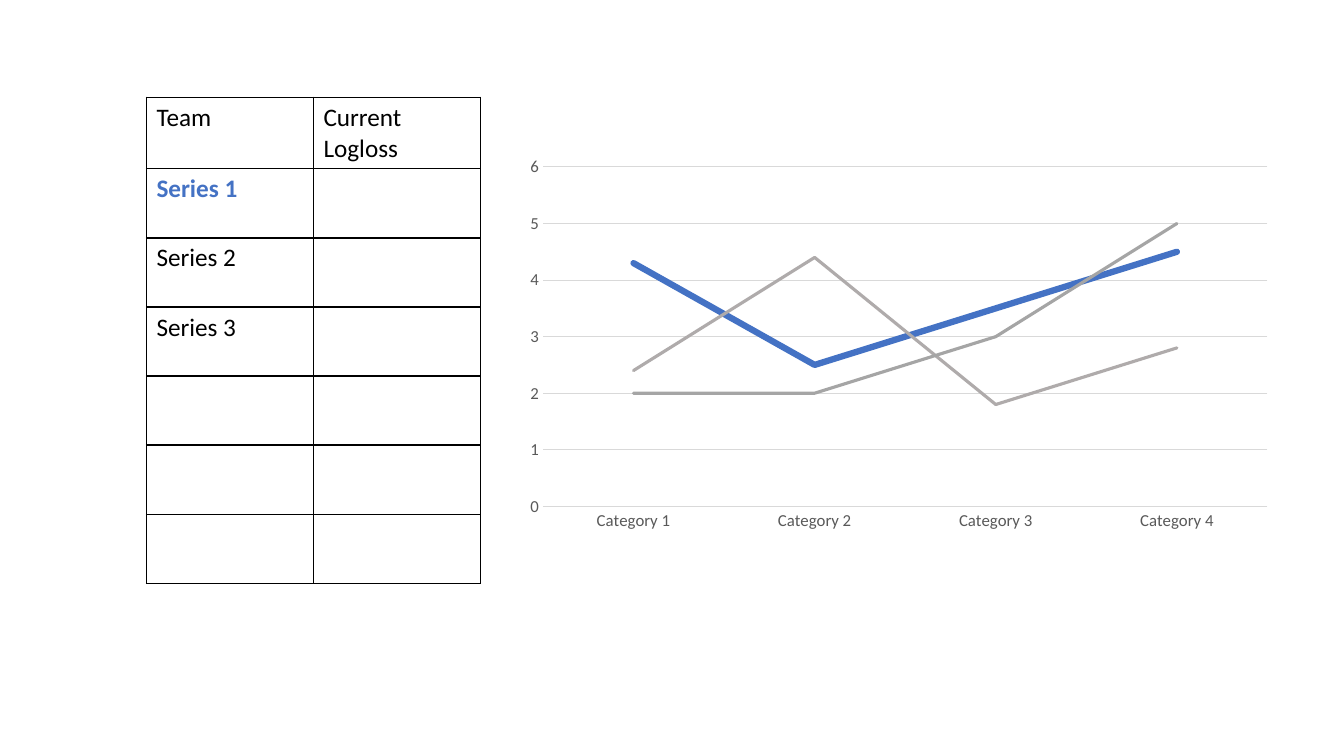
from lxml.etree import SubElement
from pptx import Presentation
from pptx.chart.data import CategoryChartData
from pptx.dml.color import RGBColor
from pptx.enum.chart import XL_CHART_TYPE as ChartType, XL_MARKER_STYLE as Marker, XL_TICK_MARK as Tick
from pptx.oxml.ns import qn
from pptx.util import Cm, Pt

# Content
TEAM_ROWS = [
    ("Team", "Current Logloss"),
    ("Series 1", ""),
    ("Series 2", ""),
    ("Series 3", ""),
    ("", ""),
    ("", ""),
    ("", ""),
]
CATEGORIES = ["Category 1", "Category 2", "Category 3", "Category 4"]
SERIES = [  # name, values, colour, line width
    ("Series 1", (4.3, 2.5, 3.5, 4.5), "4472C4", 4.5),
    ("Series 2", (2.4, 4.4, 1.8, 2.8), "AFABAB", 2.25),
    ("Series 3", (2, 2, 3, 5), "A5A5A5", 2.25),
]
HIGHLIGHT, HIGHLIGHT_COLOUR = "Series 1", "4472C4"
BLACK, AXIS_TEXT, GRID = "000000", "595959", "D9D9D9"

# Layout in centimetres
TABLE_LEFT, TABLE_TOP, COLUMN_WIDTH, ROW_HEIGHT = 3.69, 2.45, 4.21, 1.74
CHART_BOX = (12.98, 3.76, 19.35, 9.8)


def colour(hex_text):
    return RGBColor.from_string(hex_text)


def set_font(font, size, hex_text, bold=False):
    values = {"name": "Calibri", "size": Pt(size), "bold": bold}
    for attribute, value in values.items():
        setattr(font, attribute, value)
    font.color.rgb = colour(hex_text)


def set_line(line, hex_text, width):
    line.color.rgb = colour(hex_text)
    line.width = Pt(width)


def add_borders(cell, hex_text, width):
    properties = cell._tc.get_or_add_tcPr()
    for side in ("lnL", "lnR", "lnT", "lnB"):
        border = SubElement(properties, qn(f"a:{side}"), w=str(Pt(width)))
        fill = SubElement(border, qn("a:solidFill"))
        SubElement(fill, qn("a:srgbClr"), val=hex_text)


presentation = Presentation()
presentation.slide_width, presentation.slide_height = Cm(33.87), Cm(19.05)
slide = presentation.slides.add_slide(presentation.slide_layouts[6])

# Team table
row_count, column_count = len(TEAM_ROWS), len(TEAM_ROWS[0])
table = slide.shapes.add_table(
    row_count, column_count, Cm(TABLE_LEFT), Cm(TABLE_TOP),
    Cm(COLUMN_WIDTH * column_count), Cm(ROW_HEIGHT * row_count)).table
table.first_row = table.horz_banding = False
for column in table.columns:
    column.width = Cm(COLUMN_WIDTH)
for row, texts in zip(table.rows, TEAM_ROWS):
    row.height = Cm(ROW_HEIGHT)
    for cell, text in zip(row.cells, texts):
        add_borders(cell, BLACK, 1)
        cell.fill.background()
        if text:
            cell.text = text
            highlighted = text == HIGHLIGHT
            set_font(cell.text_frame.paragraphs[0].runs[0].font, 18,
                     HIGHLIGHT_COLOUR if highlighted else BLACK, highlighted)

# Line chart
chart_data = CategoryChartData()
chart_data.categories = CATEGORIES
for name, values, _, _ in SERIES:
    chart_data.add_series(name, values)
chart = slide.shapes.add_chart(
    ChartType.LINE, *map(Cm, CHART_BOX), chart_data).chart
chart.has_legend = chart.has_title = False
set_font(chart.font, 10, BLACK)
chart.plots[0].vary_by_categories = False
for series, (_, _, hex_text, width) in zip(chart.plots[0].series, SERIES):
    series.smooth = False
    series.marker.style = Marker.NONE
    set_line(series.format.line, hex_text, width)
    SubElement(series.format.line._get_or_add_ln(), qn("a:round"))
    series.format.line._get_or_add_ln().set("cap", "rnd")

# Axes
for axis in (chart.category_axis, chart.value_axis):
    axis.major_tick_mark = axis.minor_tick_mark = Tick.NONE
    set_font(axis.tick_labels.font, 12, AXIS_TEXT)
set_line(chart.category_axis.format.line, GRID, 0.75)
value_axis = chart.value_axis
value_axis.minimum_scale, value_axis.maximum_scale, value_axis.major_unit = 0, 6, 1
value_axis.format.line.fill.background()
set_line(value_axis.major_gridlines.format.line, GRID, 0.75)

presentation.save("out.pptx")
